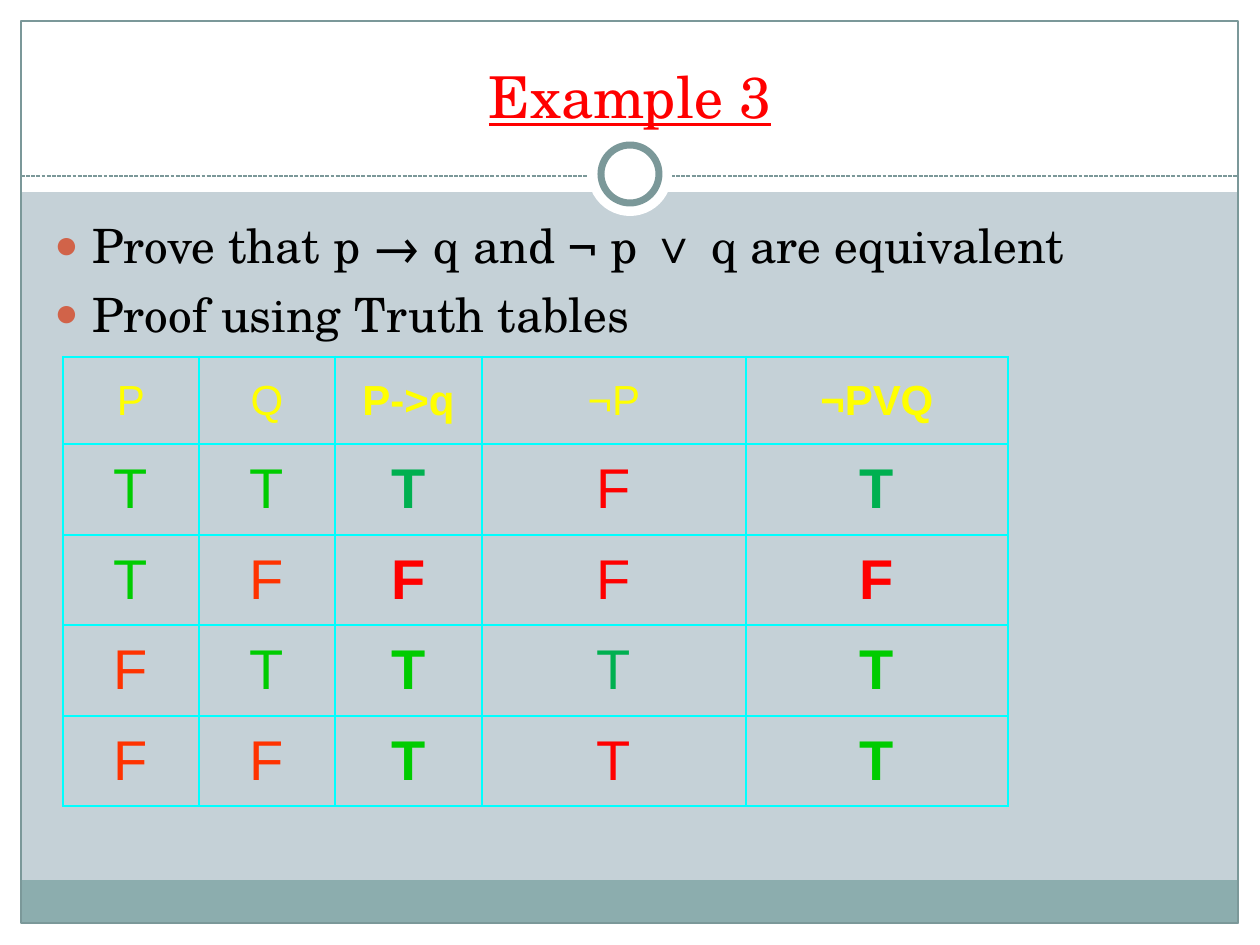
from dataclasses import dataclass

from lxml import etree
from pptx import Presentation
from pptx import util as u
from pptx.dml import color
from pptx.enum import dml, shapes, text
from pptx.oxml import ns

SCALE = 914400 / 126


def px(length):
    return u.Emu(round(length * SCALE))


def rgb(code):
    return color.RGBColor.from_string(code)


@dataclass(frozen=True)
class Theme:
    serif: str = "TeX Gyre Schola"
    sans: str = "Arial"
    background: str = "C5D1D7"
    white: str = "FFFFFF"
    black: str = "000000"
    band: str = "8CADAE"
    frame: str = "7B9899"
    bullet: str = "D16349"
    grid: str = "00FFFF"
    heading: str = "FFFF00"
    red: str = "FF0000"
    orange: str = "FF3300"
    lime: str = "00CC00"
    green: str = "00B050"
    title_size: float = 33
    body_size: float = 27
    header_size: float = 24
    value_size: float = 32


class SlideBuilder:
    def __init__(self, slide, theme):
        self.slide = slide
        self.theme = theme
        fill = slide.background.fill
        fill.solid()
        fill.fore_color.rgb = rgb(theme.background)

    def shape(self, kind, box, fill=None, line=None, weight=0.75):
        shape = self.slide.shapes.add_shape(kind, *map(px, box))
        shape.shadow.inherit = False
        if fill:
            shape.fill.solid()
            shape.fill.fore_color.rgb = rgb(fill)
        else:
            shape.fill.background()
        if line:
            shape.line.color.rgb = rgb(line)
            shape.line.width = u.Pt(weight)
        else:
            shape.line.fill.background()

    def dashed_line(self, start, end):
        connector = self.slide.shapes.add_connector(
            shapes.MSO_CONNECTOR.STRAIGHT, *map(px, start + end))
        connector.line.color.rgb = rgb(self.theme.frame)
        connector.line.width = u.Pt(0.75)
        connector.line.dash_style = dml.MSO_LINE.SQUARE_DOT
        etree.SubElement(connector._element.spPr, ns.qn("a:effectLst"))

    def font(self, paragraph, name, size, code, bold=False):
        font = paragraph.font
        font.name = name
        font.size = u.Pt(size)
        font.bold = bold
        font.color.rgb = rgb(code)
        return font

    def text_frame(self, box):
        frame = self.slide.shapes.add_textbox(*map(px, box)).text_frame
        frame.word_wrap = True
        return frame

    def title(self, box, wording):
        frame = self.text_frame(box)
        frame.vertical_anchor = text.MSO_ANCHOR.BOTTOM
        paragraph = frame.paragraphs[0]
        paragraph.text = wording
        paragraph.alignment = text.PP_ALIGN.CENTER
        font = self.font(paragraph, self.theme.serif, self.theme.title_size, self.theme.red)
        font.underline = True

    def bullets(self, box, lines):
        frame = self.text_frame(box)
        for index, line in enumerate(lines):
            paragraph = frame.add_paragraph() if index else frame.paragraphs[0]
            paragraph.text = line
            if index:
                paragraph.space_before = u.Pt(6.8)
            self.add_bullet(paragraph)
            self.font(paragraph, self.theme.serif, self.theme.body_size, self.theme.black)

    def add_bullet(self, paragraph):
        properties = paragraph._p.get_or_add_pPr()
        indent = px(38)
        properties.set("marL", str(indent))
        properties.set("indent", str(-indent))
        bullet_color = etree.SubElement(properties, ns.qn("a:buClr"))
        etree.SubElement(bullet_color, ns.qn("a:srgbClr"), val=self.theme.bullet)
        etree.SubElement(properties, ns.qn("a:buSzPct"), val="85000")
        etree.SubElement(properties, ns.qn("a:buFont"), typeface=self.theme.sans)
        etree.SubElement(properties, ns.qn("a:buChar"), char="●")

    def truth_table(self, origin, widths, heights, headers, rows, bold_columns):
        theme = self.theme
        size = (sum(widths), sum(heights))
        table = self.slide.shapes.add_table(
            len(heights), len(widths), *map(px, origin + size)).table
        table.first_row = False
        table.horz_banding = False
        for column, width in zip(table.columns, widths):
            column.width = px(width)
        for row, height in zip(table.rows, heights):
            row.height = px(height)
        header_row = [(header, theme.heading) for header in headers]
        for row_index, values in enumerate([header_row] + rows):
            point_size = theme.value_size if row_index else theme.header_size
            for column_index, (value, code) in enumerate(values):
                cell = table.cell(row_index, column_index)
                self.cell(cell, value, code, point_size, column_index in bold_columns)

    def cell(self, cell, value, code, size, bold):
        cell.vertical_anchor = text.MSO_ANCHOR.MIDDLE
        paragraph = cell.text_frame.paragraphs[0]
        paragraph.text = value
        paragraph.alignment = text.PP_ALIGN.CENTER
        self.font(paragraph, self.theme.sans, size, code, bold)
        properties = cell._tc.get_or_add_tcPr()
        for side in ("lnL", "lnR", "lnT", "lnB"):
            border = etree.SubElement(properties, ns.qn(f"a:{side}"), w=str(u.Pt(1.47)))
            fill = etree.SubElement(border, ns.qn("a:solidFill"))
            etree.SubElement(fill, ns.qn("a:srgbClr"), val=self.theme.grid)
        cell.fill.background()


def main():
    theme = Theme()
    presentation = Presentation()
    presentation.slide_width = px(1260)
    presentation.slide_height = px(945)
    slide = presentation.slides.add_slide(presentation.slide_layouts[6])
    builder = SlideBuilder(slide, theme)

    rectangle = shapes.MSO_SHAPE.RECTANGLE
    oval = shapes.MSO_SHAPE.OVAL
    margins = [(0, 924, 1260, 21), (0, 0, 1260, 192), (0, 0, 21, 945), (1239, 0, 21, 945)]
    for margin in margins:
        builder.shape(rectangle, margin, theme.white)
    builder.shape(rectangle, (21, 880, 1217, 43), theme.band)
    builder.shape(rectangle, (21, 21, 1217, 902), line=theme.frame)
    builder.dashed_line((21, 176), (1239, 176))
    builder.shape(oval, (588, 132, 84, 84), theme.white)
    builder.shape(oval, (601, 145, 58, 58), theme.white, theme.frame, 4)

    builder.title((42, 32, 1176, 104), "Example 3")
    builder.bullets((42, 210, 1172, 630), [
        "Prove that p → q and ¬ p ∨ q are equivalent",
        "Proof using Truth tables",
    ])

    red, orange, lime, green = theme.red, theme.orange, theme.lime, theme.green
    builder.truth_table(
        (63, 357), (136, 136, 147, 264, 262), (87, 91, 90, 91, 90),
        ("P", "Q", "P->q", "¬P", "¬PVQ"),
        [
            [("T", lime), ("T", lime), ("T", green), ("F", red), ("T", green)],
            [("T", lime), ("F", orange), ("F", red), ("F", red), ("F", red)],
            [("F", orange), ("T", lime), ("T", lime), ("T", green), ("T", lime)],
            [("F", orange), ("F", orange), ("T", lime), ("T", red), ("T", lime)],
        ],
        bold_columns=(2, 4))
    presentation.save("out.pptx")


if __name__ == "__main__":
    main()
